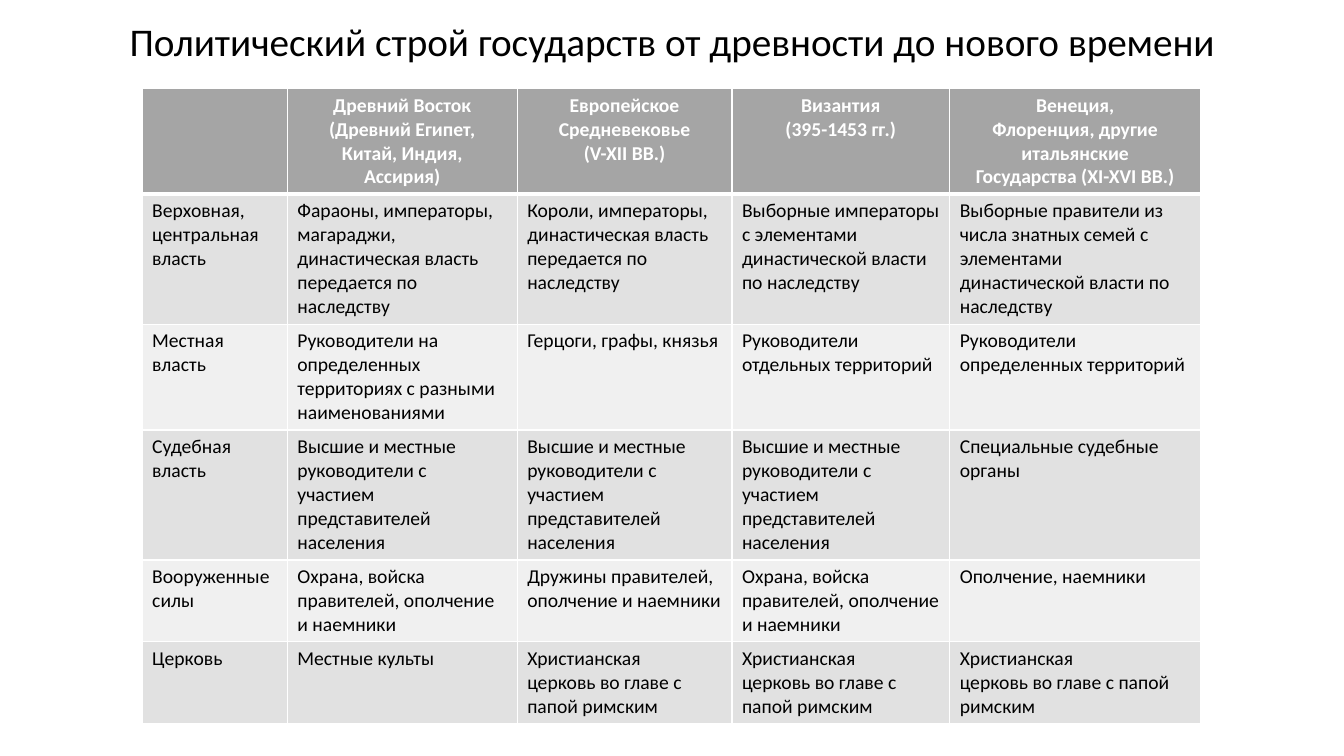
from lxml.etree import SubElement
from pptx import Presentation
from pptx.dml.color import RGBColor
from pptx.enum.text import MSO_ANCHOR, PP_ALIGN
from pptx.oxml.ns import qn
from pptx.util import Inches, Pt

FONT = "Calibri"
WHITE, BLACK = "FFFFFF", "000000"
HEADER_FILL, BAND_FILLS = "A5A5A5", ("F0F0F0", "E1E1E1")
COLUMN_WIDTHS = (1.44, 2.28, 2.13, 2.16, 2.49)
ROW_HEIGHTS = (1.04, 1.29, 1.05, 1.29, 0.81, 0.81)

COURTS = "Высшие и местные руководители с участием представителей населения"
GUARDS = "Охрана, войска правителей, ополчение и наемники"
CHURCH = "Христианская\nцерковь во главе с папой римским"
ROWS = (
    ("",
     "Древний Восток\n(Древний Египет,\nКитай, Индия,\nАссирия)",
     "Европейское Средневековье\n(V-XII BB.)",
     "Византия\n(395-1453 гг.)",
     "Венеция,\nФлоренция, другие\nитальянские\nГосударства (XI-XVI BB.)"),
    ("Верховная, центральная власть",
     "Фараоны, императоры, магараджи, династическая власть передается по наследству",
     "Короли, императоры, династическая власть передается по наследству",
     "Выборные императоры с элементами династической власти по наследству",
     "Выборные правители из числа знатных семей с элементами династической власти по наследству"),
    ("Местная власть",
     "Руководители на определенных территориях с разными наименованиями",
     "Герцоги, графы, князья",
     "Руководители отдельных территорий",
     "Руководители определенных территорий"),
    ("Судебная власть", COURTS, COURTS, COURTS, "Специальные судебные органы"),
    ("Вооруженные силы", GUARDS, "Дружины правителей, ополчение и наемники",
     GUARDS, "Ополчение, наемники"),
    ("Церковь", "Местные культы", CHURCH, CHURCH, CHURCH),
)


def color(value):
    return RGBColor.from_string(value)


def add_border(cell, side, width):
    line = SubElement(cell._tc.get_or_add_tcPr(), qn(f"a:ln{side}"), w=str(Pt(width)))
    fill = SubElement(line, qn("a:solidFill"))
    SubElement(fill, qn("a:srgbClr"), val=WHITE)


presentation = Presentation()
presentation.slide_width, presentation.slide_height = Inches(13.33), Inches(7.5)
slide = presentation.slides.add_slide(presentation.slide_layouts[5])

# Title
title = slide.shapes.title
title.left, title.top = Inches(1.12), Inches(-0.29)
title.width, title.height = Inches(11.09), Inches(1.45)
title.text_frame.text = "Политический строй государств от древности до нового времени"
title.text_frame.vertical_anchor = MSO_ANCHOR.MIDDLE
paragraph = title.text_frame.paragraphs[0]
paragraph.alignment = PP_ALIGN.CENTER
paragraph.line_spacing = 0.9
paragraph.font.name, paragraph.font.size = FONT, Pt(28)
paragraph.font.color.rgb = color(BLACK)

# Table grid
table = slide.shapes.add_table(
    len(ROWS), len(COLUMN_WIDTHS), Inches(1.41), Inches(0.88),
    Inches(sum(COLUMN_WIDTHS)), Inches(sum(ROW_HEIGHTS))).table
for column, width in zip(table.columns, COLUMN_WIDTHS):
    column.width = Inches(width)
for row, height in zip(table.rows, ROW_HEIGHTS):
    row.height = Inches(height)

# Cells: thick rule under the header, banded rows below it
for row_index, texts in enumerate(ROWS):
    is_header = row_index == 0
    for column_index, text in enumerate(texts):
        cell = table.cell(row_index, column_index)
        for side in "LRTB":
            thick = (is_header and side == "B") or (row_index == 1 and side == "T")
            add_border(cell, side, 3 if thick else 1)
        cell.fill.solid()
        cell.fill.fore_color.rgb = color(HEADER_FILL if is_header else BAND_FILLS[row_index % 2])
        cell.text = text
        for paragraph in cell.text_frame.paragraphs:
            paragraph.alignment = PP_ALIGN.CENTER if is_header else PP_ALIGN.LEFT
            paragraph.font.name, paragraph.font.size = FONT, Pt(14)
            paragraph.font.bold = is_header
            paragraph.font.color.rgb = color(WHITE if is_header else BLACK)

presentation.save("out.pptx")
